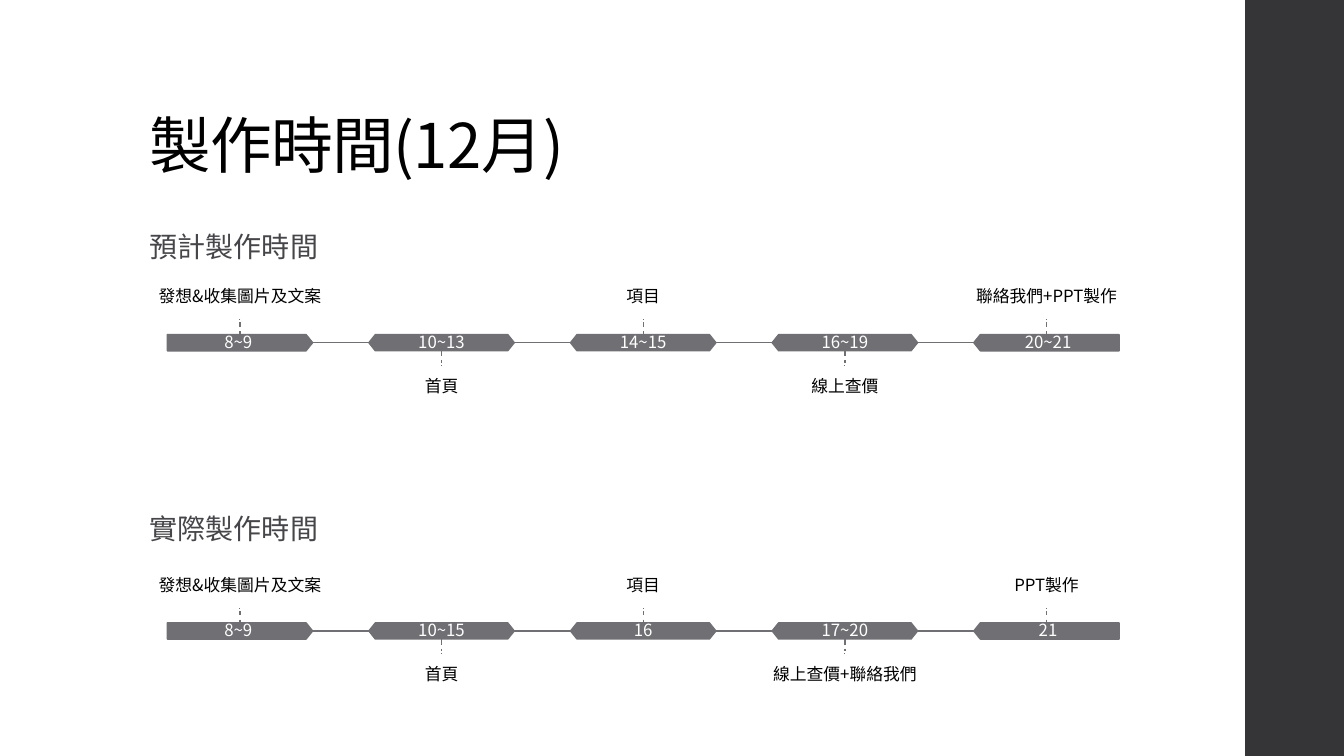
from dataclasses import dataclass

from lxml import etree
from pptx import Presentation
from pptx.dml.color import RGBColor
from pptx.enum.dml import MSO_LINE
from pptx.enum.shapes import MSO_CONNECTOR, MSO_SHAPE
from pptx.enum.text import MSO_ANCHOR, MSO_AUTO_SIZE, PP_ALIGN
from pptx.oxml.ns import qn
from pptx.util import Inches, Pt

RECTANGLE = MSO_SHAPE.RECTANGLE
PENTAGON = MSO_SHAPE.PENTAGON
HEXAGON = MSO_SHAPE.HEXAGON
STRAIGHT = MSO_CONNECTOR.STRAIGHT
DASH = MSO_LINE.DASH
TOP, MIDDLE, BOTTOM = MSO_ANCHOR.TOP, MSO_ANCHOR.MIDDLE, MSO_ANCHOR.BOTTOM
LEFT, CENTER = PP_ALIGN.LEFT, PP_ALIGN.CENTER
NO_AUTO_SIZE = MSO_AUTO_SIZE.NONE


@dataclass(frozen=True)
class Theme:
    font: str = "Noto Sans CJK TC"
    black: RGBColor = RGBColor(0x00, 0x00, 0x00)
    white: RGBColor = RGBColor(0xFF, 0xFF, 0xFF)
    heading: RGBColor = RGBColor(0x46, 0x46, 0x4A)
    bar: RGBColor = RGBColor(0x6F, 0x6F, 0x74)
    sidebar: RGBColor = RGBColor(0x35, 0x35, 0x37)
    title_size: int = 44
    heading_size: int = 20
    label_size: int = 12


THEME = Theme()

BAR_LEFT, BAR_WIDTH, BAR_HEIGHT, BAR_PITCH = 1.66, 1.44, 0.16, 2.0
LABEL_WIDTH, LABEL_HEIGHT = 2.0, 0.42
STEM_LENGTH, DOT_SIZE = 0.13, 0.03

TIMELINES = [
    ("預計製作時間", 1.87, 0.8, 3.32, [
        ("8~9", "發想&收集圖片及文案"),
        ("10~13", "首頁"),
        ("14~15", "項目"),
        ("16~19", "線上查價"),
        ("20~21", "聯絡我們+PPT製作"),
    ]),
    ("實際製作時間", 4.91, 0.55, 6.18, [
        ("8~9", "發想&收集圖片及文案"),
        ("10~15", "首頁"),
        ("16", "項目"),
        ("17~20", "線上查價+聯絡我們"),
        ("21", "PPT製作"),
    ]),
]


def write_text(shape, text, *, size, color, align=LEFT, anchor=MIDDLE,
               insets=(0.1, 0.05), line_spacing=0.9, space_after=0, tracking=0):
    frame = shape.text_frame
    frame.word_wrap = True
    frame.auto_size = NO_AUTO_SIZE
    frame.vertical_anchor = anchor
    frame.margin_left = frame.margin_right = Inches(insets[0])
    frame.margin_top = frame.margin_bottom = Inches(insets[1])
    paragraph = frame.paragraphs[0]
    paragraph.alignment = align
    paragraph.line_spacing = line_spacing
    paragraph.space_before = Pt(0)
    paragraph.space_after = Pt(space_after)
    run = paragraph.add_run()
    run.text = text
    run.font.size = Pt(size)
    run.font.color.rgb = color
    run.font.name = THEME.font
    properties = run.font._element
    properties.set("spc", str(round(tracking * 100)))
    etree.SubElement(properties, qn("a:ea")).set("typeface", THEME.font)


def add_text(slide, text, left, top, width, height, **text_format):
    box = slide.shapes.add_textbox(Inches(left), Inches(top), Inches(width), Inches(height))
    write_text(box, text, **text_format)


def add_block(slide, kind, left, top, width, height, fill, line=None, line_width=1.1):
    shape = slide.shapes.add_shape(kind, Inches(left), Inches(top), Inches(width), Inches(height))
    shape.shadow.inherit = False
    shape.fill.solid()
    shape.fill.fore_color.rgb = fill
    if line is None:
        shape.line.fill.background()
    else:
        shape.line.color.rgb = line
        shape.line.width = Pt(line_width)
    return shape


def add_line(slide, start, end, width, dash=None):
    connector = slide.shapes.add_connector(
        STRAIGHT, Inches(start[0]), Inches(start[1]), Inches(end[0]), Inches(end[1]))
    connector.line.color.rgb = THEME.bar
    connector.line.width = Pt(width)
    if dash is not None:
        connector.line.dash_style = dash
    etree.SubElement(connector._element.spPr, qn("a:effectLst"))


def add_bar(slide, dates, left, top, is_first, is_last):
    kind = PENTAGON if is_first or is_last else HEXAGON
    bar = add_block(slide, kind, left, top, BAR_WIDTH, BAR_HEIGHT, THEME.bar, THEME.bar)
    bar.adjustments[0] = 0.4
    if is_last:
        bar._element.spPr.find(qn("a:xfrm")).set("flipH", "1")
    write_text(bar, dates, size=THEME.label_size, color=THEME.white, align=CENTER, insets=(0, 0))


def add_callout(slide, label, center, bar_top, above):
    if above:
        stem_start, stem_end = bar_top - STEM_LENGTH, bar_top
        dot_top = stem_start - DOT_SIZE
        label_top, anchor = bar_top - 0.58, BOTTOM
    else:
        stem_start = bar_top + BAR_HEIGHT
        stem_end = dot_top = stem_start + STEM_LENGTH
        label_top, anchor = bar_top + 0.31, TOP
    add_text(slide, label, center - LABEL_WIDTH / 2, label_top, LABEL_WIDTH, LABEL_HEIGHT,
             size=THEME.label_size, color=THEME.black, align=CENTER, anchor=anchor,
             insets=(0, 0.12))
    add_line(slide, (center, stem_start), (center, stem_end), 1, DASH)
    add_block(slide, RECTANGLE, center - DOT_SIZE / 2, dot_top, DOT_SIZE, DOT_SIZE,
              THEME.bar, THEME.white, 1.35)


def add_timeline(slide, bar_top, stages):
    last = len(stages) - 1
    middle = bar_top + BAR_HEIGHT / 2
    for index, (dates, label) in enumerate(stages):
        left = BAR_LEFT + index * BAR_PITCH
        add_bar(slide, dates, left, bar_top, index == 0, index == last)
        add_callout(slide, label, left + BAR_WIDTH / 2, bar_top, index % 2 == 0)
        if index < last:
            add_line(slide, (left + BAR_WIDTH, middle), (left + BAR_PITCH, middle), 1.1)


def set_title(slide, text):
    title = slide.shapes.title
    title.left, title.top = Inches(1.38), Inches(0.4)
    title.width, title.height = Inches(10.6), Inches(1.45)
    write_text(title, text, size=THEME.title_size, color=THEME.black, anchor=BOTTOM,
               tracking=-0.5)


def main():
    presentation = Presentation()
    presentation.slide_width = Inches(13.33)
    presentation.slide_height = Inches(7.5)
    slide = presentation.slides.add_slide(presentation.slide_layouts[5])
    slide.background.fill.solid()
    slide.background.fill.fore_color.rgb = THEME.white
    add_block(slide, RECTANGLE, 12.35, 0, 0.98, 7.5, THEME.sidebar)
    set_title(slide, "製作時間(12月)")
    for heading, heading_top, heading_height, bar_top, stages in TIMELINES:
        add_text(slide, heading, 1.38, heading_top, 4.9, heading_height,
                 size=THEME.heading_size, color=THEME.heading, anchor=BOTTOM,
                 line_spacing=0.95, space_after=2, tracking=0.1)
        add_timeline(slide, bar_top, stages)
    presentation.save("out.pptx")


if __name__ == "__main__":
    main()
